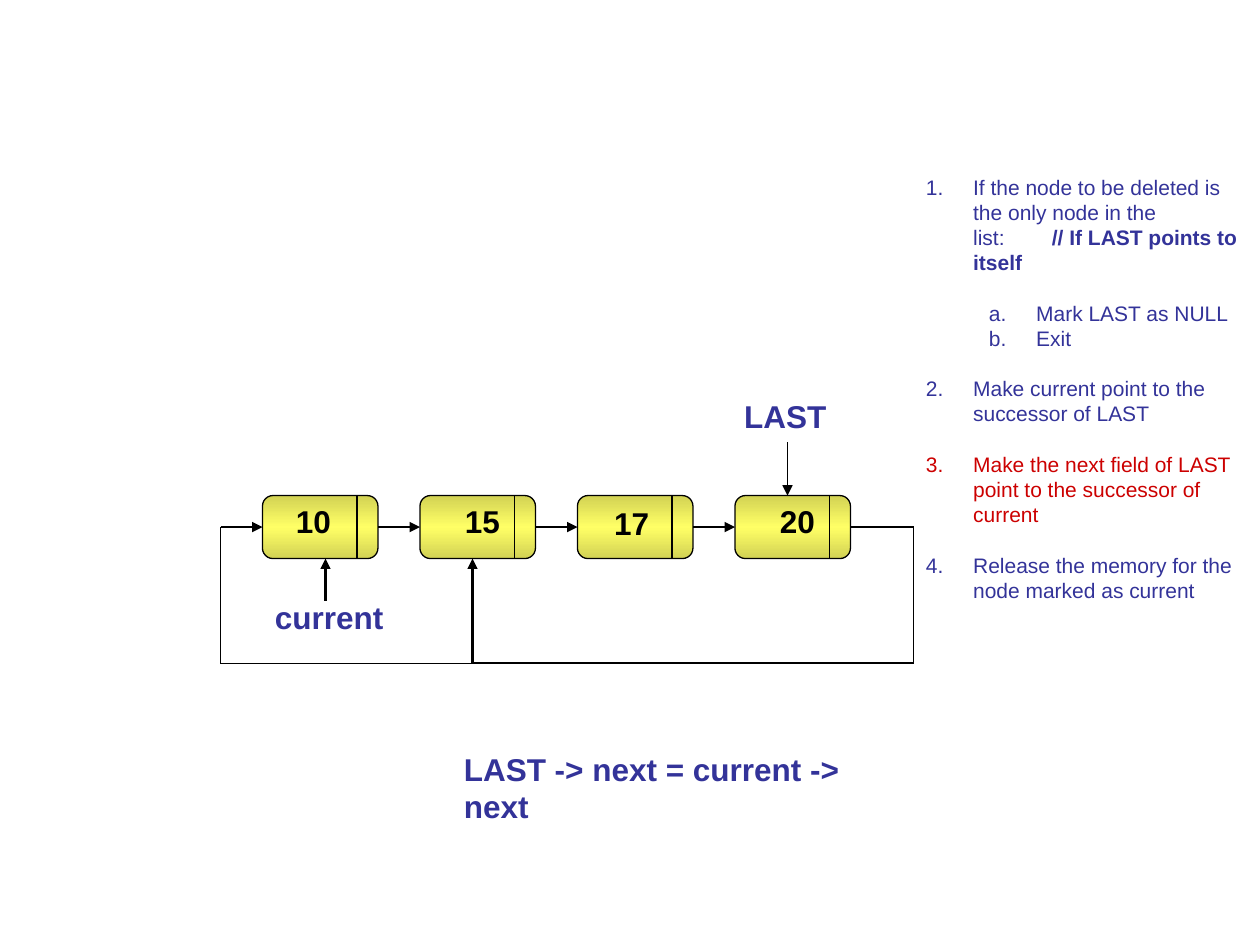
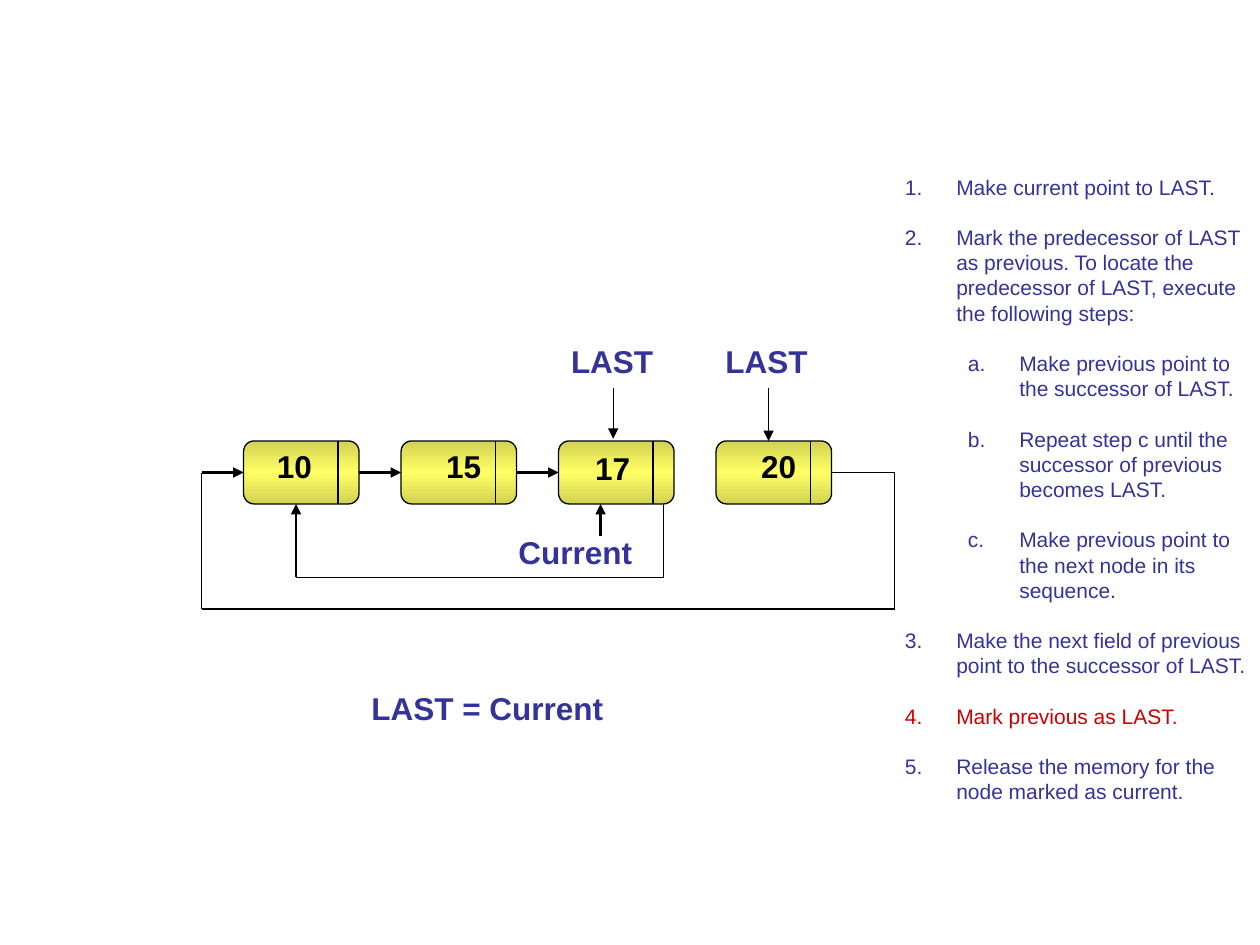
from copy import deepcopy
from dataclasses import dataclass
from itertools import pairwise

from lxml import etree
from pptx import Presentation
from pptx import util as u
from pptx.dml.color import RGBColor
from pptx.enum import shapes, text
from pptx.oxml.ns import qn

PX = 7620  # EMU; 120 px to the inch
FONT = "Arial"
INK, BLACK, RED = "333399", "000000", "CC0000"
NODE_EDGE, NODE_CENTRE = "D2D254", "FFFF66"
NODE_WIDTH, NODE_HEIGHT, NODE_PITCH, DIVIDER = 110, 60, 150, 90
LOOP_MARGIN, LOOP_DROP = 40, 160
THIN, THICK = 0.75, 1.25
LEADING = 1.2
LABEL_HEIGHT = 48
SUBSTEP_INDENT = 60
Point = tuple[int, int]


@dataclass
class Label:
    text: str
    left: int
    top: int
    width: int
    color: str = INK


@dataclass
class Route:
    points: list[Point]
    weight: float = THICK


@dataclass
class Step:
    text: str
    level: int = 0
    color: str = INK
    gap: bool = True
    remark: str = ""


@dataclass
class StepList:
    left: int
    width: int
    height: int
    indent: int
    steps: list[Step]


@dataclass
class ListDiagram:
    left: int
    top: int
    links: int
    labels: list[Label]
    routes: list[Route]
    algorithm: StepList


# value, then its text box's offset inside the node
NODES = [("10", 20, 0), ("15", 31, 0), ("17", 23, 2), ("20", 31, 0)]

DIAGRAMS = [
    ListDiagram(
        left=250, top=472, links=3,
        labels=[
            Label("LAST", 697, 372, 102),
            Label("current", 250, 564, 127),
            Label("LAST -> next = current -> next", 430, 708, 451),
        ],
        routes=[
            Route([(750, 421), (750, 472)], THIN),
            Route([(310, 572), (310, 532)]),
            Route([(870, 631), (450, 631), (450, 532)]),
        ],
        algorithm=StepList(870, 330, 420, 45, [
            Step("If the node to be deleted is the only node in the\vlist:\t",
                 remark="// If LAST points to itself"),
            Step("Mark LAST as NULL", level=1),
            Step("Exit", level=1, gap=False),
            Step("Make current point to the successor of LAST"),
            Step("Make the next field of LAST point to the successor of current", color=RED),
            Step("Release the memory for the node marked as current"),
        ]),
    ),
    ListDiagram(
        left=232, top=420, links=2,
        labels=[
            Label("LAST", 532, 320, 102),
            Label("LAST", 679, 320, 102),
            Label("Current", 482, 502, 132),
            Label("LAST = Current", 342, 650, 245),
        ],
        routes=[
            Route([(584, 370), (584, 418)], THIN),
            Route([(732, 370), (732, 420)], THIN),
            Route([(572, 510), (572, 480)]),
            Route([(632, 480), (632, 550), (282, 550), (282, 480)]),
        ],
        algorithm=StepList(850, 350, 636, 49, [
            Step("Make current point to LAST."),
            Step("Mark the predecessor of LAST as previous. To locate the "
                 "predecessor of LAST, execute the following steps:"),
            Step("Make previous point to the successor of LAST.", level=1),
            Step("Repeat step c until the successor of previous becomes LAST.", level=1),
            Step("Make previous point to the next node in its sequence.", level=1),
            Step("Make the next field of previous point to the successor of LAST."),
            Step("Mark previous as LAST.", color=RED),
            Step("Release the memory for the node marked as current."),
        ]),
    ),
]


def rgb(value: str) -> RGBColor:
    return RGBColor.from_string(value)


def px(*lengths: int) -> list[u.Emu]:
    return [u.Emu(length * PX) for length in lengths]


def style_paragraph(para, size: int, color: str, bold: bool = False) -> None:
    para.line_spacing = u.Pt(size * LEADING)
    for span in para.runs:
        span.font.name = FONT
        span.font.size = u.Pt(size)
        span.font.bold = bold
        span.font.color.rgb = rgb(color)


def draw_label(page, label: Label) -> None:
    box = page.shapes.add_textbox(*px(label.left, label.top, label.width, LABEL_HEIGHT))
    frame = box.text_frame
    frame.word_wrap = False
    frame.auto_size = text.MSO_AUTO_SIZE.SHAPE_TO_FIT_TEXT
    frame.text = label.text
    style_paragraph(frame.paragraphs[0], 18, label.color, bold=True)


def draw_line(page, start: Point, end: Point, weight: float = THIN, arrow: bool = False) -> None:
    line = page.shapes.add_connector(shapes.MSO_CONNECTOR.STRAIGHT, *px(*start, *end))
    line.line.color.rgb = rgb(BLACK)
    line.line.width = u.Pt(weight)
    if arrow:
        etree.SubElement(line.line._get_or_add_ln(), qn("a:tailEnd"), type="triangle")
    etree.SubElement(line._element.spPr, qn("a:effectLst"))


def draw_route(page, route: Route) -> None:
    """Draw thin legs, then a last leg of the route's weight with an arrowhead."""
    *legs, last = pairwise(route.points)
    for leg in legs:
        draw_line(page, *leg)
    draw_line(page, *last, route.weight, arrow=True)


def fill_node(node) -> None:
    """Shade from edge to centre and back to edge, top to bottom."""
    node.fill.gradient()
    node.fill.gradient_angle = 90
    for stop in node.fill.gradient_stops:
        stop.color.rgb = rgb(NODE_EDGE)
    stops = node._element.spPr.find(qn("a:gradFill")).find(qn("a:gsLst"))
    stops.insert(1, deepcopy(stops[0]))
    centre = node.fill.gradient_stops[1]
    centre.position = 0.5
    centre.color.rgb = rgb(NODE_CENTRE)


def draw_node(page, left: int, top: int, value: str, dx: int, dy: int) -> None:
    node = page.shapes.add_shape(shapes.MSO_SHAPE.ROUNDED_RECTANGLE,
                                 *px(left, top, NODE_WIDTH, NODE_HEIGHT))
    node.shadow.inherit = False
    node.line.color.rgb = rgb(BLACK)
    node.line.width = u.Pt(THIN)
    fill_node(node)
    draw_line(page, (left + DIVIDER, top), (left + DIVIDER, top + NODE_HEIGHT))
    draw_label(page, Label(value, left + dx, top + dy, 58, BLACK))


def number_paragraph(para, step: Step, indent: int) -> None:
    para.level = step.level
    props = para._p.get_or_add_pPr()
    props.set("marL", str((indent + step.level * SUBSTEP_INDENT) * PX))
    props.set("indent", str(-indent * PX))
    bullet_color = etree.SubElement(props, qn("a:buClr"))
    etree.SubElement(bullet_color, qn("a:srgbClr"), val=step.color)
    scheme = ("arabicPeriod", "alphaLcPeriod")[step.level]
    etree.SubElement(props, qn("a:buAutoNum"), type=scheme)
    if step.remark:
        # The same column, whether stops count from the indent or from the box
        tabs = etree.SubElement(props, qn("a:tabLst"))
        for stop in (73, 120):
            etree.SubElement(tabs, qn("a:tab"), pos=str(stop * PX), algn="l")


def draw_steps(page, algorithm: StepList) -> None:
    box = page.shapes.add_textbox(*px(algorithm.left, 160, algorithm.width, algorithm.height))
    frame = box.text_frame
    frame.word_wrap = True
    for index, step in enumerate(algorithm.steps):
        para = frame.add_paragraph() if index else frame.paragraphs[0]
        para.text = step.text
        number_paragraph(para, step, algorithm.indent)
        if step.remark:
            para.add_run().text = step.remark
        style_paragraph(para, 12, step.color)
        if step.remark:
            para.runs[-1].font.bold = True
        if index and step.gap:
            para.space_before = u.Pt(12 * LEADING)


def draw_diagram(page, diagram: ListDiagram) -> None:
    left, top = diagram.left, diagram.top
    middle, bottom = top + NODE_HEIGHT // 2, top + LOOP_DROP
    for index, (value, dx, dy) in enumerate(NODES):
        node_left = left + index * NODE_PITCH
        node_right = node_left + NODE_WIDTH
        draw_node(page, node_left, top, value, dx, dy)
        if index < diagram.links:
            draw_route(page, Route([(node_right, middle), (node_left + NODE_PITCH, middle)]))
    loop_left = left - LOOP_MARGIN
    loop_right = node_right + LOOP_MARGIN + 20
    draw_route(page, Route([
        (node_right, middle), (loop_right, middle), (loop_right, bottom),
        (loop_left, bottom), (loop_left, middle), (left, middle),
    ]))
    for route in diagram.routes:
        draw_route(page, route)
    for label in diagram.labels:
        draw_label(page, label)
    draw_steps(page, diagram.algorithm)


def main() -> None:
    deck = Presentation()
    deck.slide_width, deck.slide_height = px(1200, 900)
    for diagram in DIAGRAMS:
        draw_diagram(deck.slides.add_slide(deck.slide_layouts[6]), diagram)
    deck.save("out.pptx")


if __name__ == "__main__":
    main()
